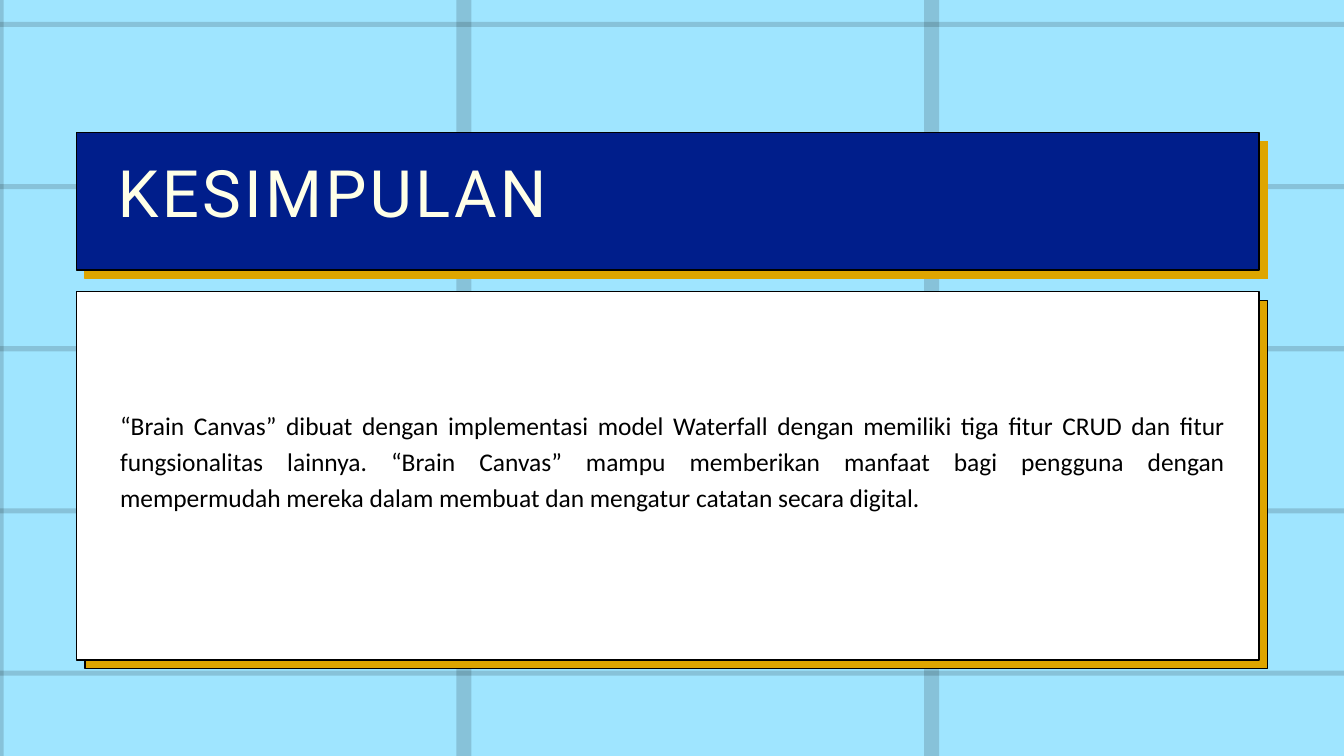
from lxml.etree import SubElement
from pptx import Presentation
from pptx.dml.color import RGBColor
from pptx.enum.shapes import MSO_SHAPE
from pptx.enum.text import MSO_ANCHOR, MSO_AUTO_SIZE, PP_ALIGN
from pptx.oxml.ns import qn
from pptx.util import Cm, Pt

SKY = RGBColor(0x9F, 0xE5, 0xFF)
NAVY = RGBColor(0x00, 0x1E, 0x8B)
GOLD = RGBColor(0xDE, 0xA5, 0x00)
CREAM = RGBColor(0xFF, 0xFF, 0xE7)
WHITE = RGBColor(0xFF, 0xFF, 0xFF)
BLACK = RGBColor(0x00, 0x00, 0x00)

WIDTH, HEIGHT = 50.8, 28.58
PANEL_LEFT, PANEL_WIDTH = 2.89, 44.7
SHADOW_OFFSET = 0.33
CONCLUSION = (
    "“Brain Canvas” dibuat dengan implementasi model Waterfall dengan memiliki "
    "tiga fitur CRUD dan fitur fungsionalitas lainnya. “Brain Canvas” mampu "
    "memberikan manfaat bagi pengguna dengan mempermudah mereka dalam membuat "
    "dan mengatur catatan secara digital."
)


class SlideBuilder:
    """Draws the elements of one slide in a shared style."""

    def __init__(self, slide):
        self.slide = slide
        slide.background.fill.solid()
        slide.background.fill.fore_color.rgb = SKY

    def paint(self, shape, color, line=None):
        shape.shadow.inherit = False
        shape.fill.solid()
        shape.fill.fore_color.rgb = color
        if line is None:
            shape.line.fill.background()
        else:
            shape.line.color.rgb = line
            shape.line.width = Pt(1.5)

    def rectangle(self, left, top, width, height, color, line=None):
        shape = self.slide.shapes.add_shape(
            MSO_SHAPE.RECTANGLE, Cm(left), Cm(top), Cm(width), Cm(height))
        self.paint(shape, color, line)

    def bars(self, boxes):
        builder = None
        for left, top, right, bottom in boxes:
            if builder is None:
                builder = self.slide.shapes.build_freeform(Cm(left), Cm(top))
            else:
                builder.move_to(Cm(left), Cm(top))
            corners = [(right, top), (right, bottom), (left, bottom)]
            builder.add_line_segments([(Cm(x), Cm(y)) for x, y in corners])
        shape = builder.convert_to_shape()
        self.paint(shape, BLACK)
        color = shape.fill._xPr.find(qn("a:solidFill"))[0]
        SubElement(color, qn("a:alpha"), val="15000")

    def grid(self):
        columns = [-0.43 + 17.68 * index for index in range(3)]
        rows = [0.83 + 6.13 * index for index in range(5)]
        self.bars([(max(left, 0), 0, left + 0.57, HEIGHT) for left in columns])
        self.bars([(0, top, WIDTH, top + 0.19) for top in rows])

    def panel(self, top, height, color, shadow_line):
        self.rectangle(PANEL_LEFT + SHADOW_OFFSET, top + SHADOW_OFFSET,
                       PANEL_WIDTH, height, GOLD, shadow_line)
        self.rectangle(PANEL_LEFT, top, PANEL_WIDTH, height, color, BLACK)

    def format_text(self, shape, text, font, size, color, spacing, alignment):
        frame = shape.text_frame
        frame.text = text
        frame.word_wrap = True
        frame.auto_size = MSO_AUTO_SIZE.NONE
        frame.vertical_anchor = MSO_ANCHOR.TOP
        frame.margin_left = frame.margin_right = 0
        frame.margin_top = frame.margin_bottom = 0
        paragraph = frame.paragraphs[0]
        paragraph.alignment = alignment
        paragraph.line_spacing = Pt(spacing)
        paragraph.space_before = Pt(0)
        run = paragraph.runs[0]
        run.font.name = font
        run.font.size = Pt(size)
        run.font.color.rgb = color
        return run

    def title(self, text):
        title = self.slide.shapes.title
        title.left, title.top = Cm(4.45), Cm(5.77)
        title.width, title.height = Cm(32.05), Cm(3.45)
        run = self.format_text(title, text, "Roboto", 70, CREAM, 84, PP_ALIGN.LEFT)
        run.font._element.set("spc", "350")
        title.element.getparent().append(title.element)

    def body(self, text):
        box = self.slide.shapes.add_textbox(Cm(4.54), Cm(15.32), Cm(41.75), Cm(5.36))
        self.format_text(box, text, "Calibri", 27.3, BLACK, 38.2, PP_ALIGN.JUSTIFY)


def main():
    presentation = Presentation()
    presentation.slide_width, presentation.slide_height = Cm(WIDTH), Cm(HEIGHT)
    builder = SlideBuilder(presentation.slides.add_slide(presentation.slide_layouts[5]))
    builder.grid()
    builder.panel(5.01, 5.2, NAVY, GOLD)
    builder.title("KESIMPULAN")
    builder.panel(11.02, 13.93, WHITE, BLACK)
    builder.body(CONCLUSION)
    presentation.save("out.pptx")


if __name__ == "__main__":
    main()
